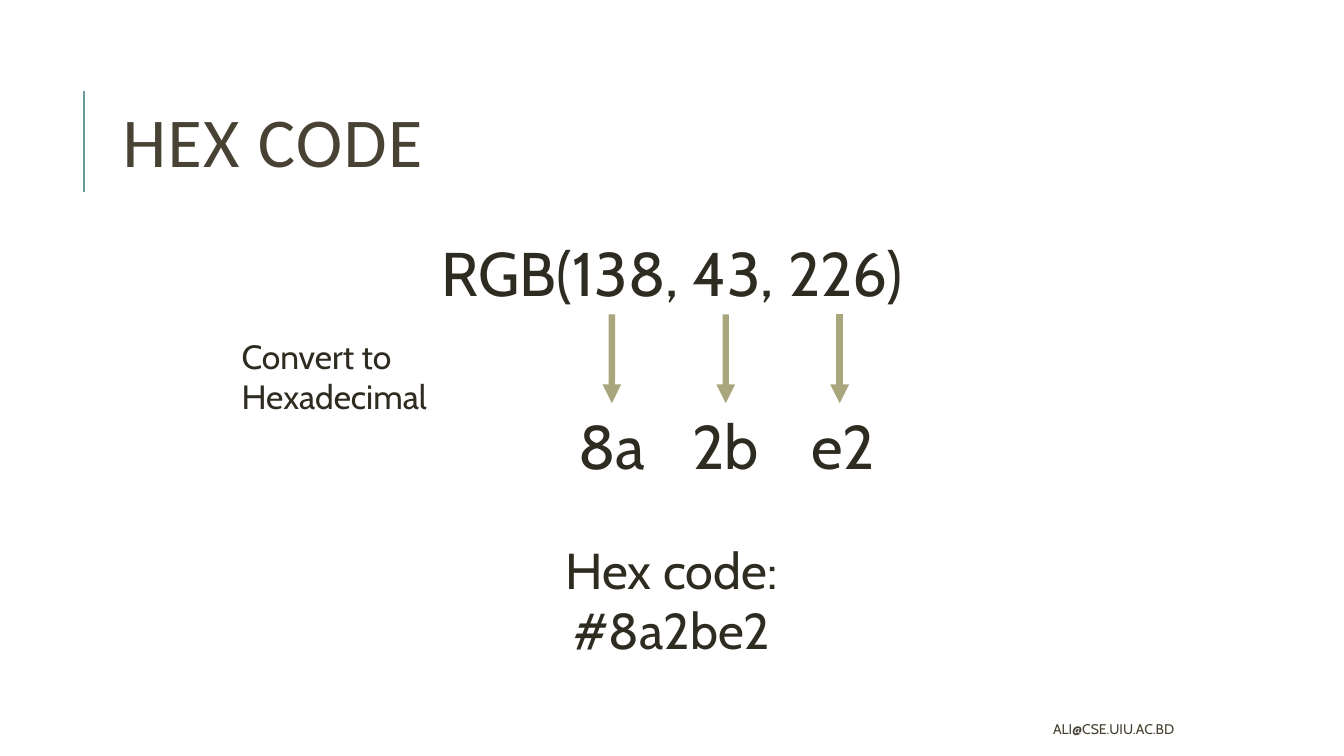
from lxml.etree import SubElement
from pptx import Presentation
from pptx.dml.color import RGBColor
from pptx.enum.shapes import MSO_CONNECTOR as CONN
from pptx.enum.text import MSO_ANCHOR as ANCHOR, MSO_AUTO_SIZE as AUTO, PP_ALIGN as ALIGN
from pptx.oxml.ns import qn
from pptx.util import Cm, Pt

BROWN = RGBColor(0x47, 0x42, 0x33)
DARK = RGBColor(0x2E, 0x2B, 0x21)
KHAKI = RGBColor(0xA9, 0xA5, 0x7C)
TEAL = RGBColor(0x68, 0x9C, 0x9A)

TITLE_FORMAT = {"name": "Calibri", "size": Pt(50)}
FOOTER_FORMAT = {"name": "Cabin", "size": Pt(10)}
VALUE_FORMAT = {"name": "Cabin", "size": Pt(44)}
NOTE_FORMAT = {"name": "Cabin", "size": Pt(24)}
RESULT_FORMAT = {"name": "Cabin", "size": Pt(36)}

TEXTS = [
    (["HEX CODE"], (2.84, 1.63, 27, 4.17), TITLE_FORMAT, BROWN, ALIGN.LEFT, ANCHOR.MIDDLE),
    (["ALI@CSE.UIU.AC.BD"], (13.46, 17.98, 16.38, 0.76), FOOTER_FORMAT, BROWN, ALIGN.RIGHT, ANCHOR.MIDDLE),
    (["RGB(138, 43, 226)"], (10.64, 5.79, 12.6, 2.14), VALUE_FORMAT, DARK, ALIGN.CENTER, ANCHOR.TOP),
    (["Convert to", "Hexadecimal"], (5.84, 8.33, 8.74, 2.29), NOTE_FORMAT, DARK, ALIGN.LEFT, ANCHOR.TOP),
    (["Hex code:", "#8a2be2"], (11.4, 13.46, 11.05, 3.3), RESULT_FORMAT, DARK, ALIGN.CENTER, ANCHOR.TOP),
]
HEX_PAIRS = [("8a", 15.42), ("2b", 18.29), ("e2", 21.25)]
HEX_TOP, HEX_WIDTH, HEX_HEIGHT = 10.16, 2.3, 2.14
ARROW_LEFT, ARROW_PITCH, ARROW_TOP = 15.42, 2.87, 7.92


def add_text(s, lines, box, fmt, color, align, anchor):
    sp = s.shapes.add_textbox(*map(Cm, box))
    tf = sp.text_frame
    tf.word_wrap = True
    tf.auto_size = AUTO.NONE
    tf.vertical_anchor = anchor
    p = tf.paragraphs[0]
    p.alignment = align
    for i, line in enumerate(lines):
        if i:
            p.add_line_break()
        r = p.add_run()
        r.text = line
        for key, value in fmt.items():
            setattr(r.font, key, value)
        r.font.color.rgb = color
    return sp


def add_line(s, start, end, color, width):
    line = s.shapes.add_connector(CONN.STRAIGHT, *map(Cm, start + end))
    line.line.color.rgb = color
    line.line.width = Pt(width)
    SubElement(line._element.spPr, qn("a:effectLst"))
    return line


def main():
    prs = Presentation()
    prs.slide_width, prs.slide_height = Cm(33.87), Cm(19.05)
    s = prs.slides.add_slide(prs.slide_layouts[6])

    add_line(s, (2.12, 4.83), (2.12, 2.29), TEAL, 1.5)
    title, *others = [add_text(s, *text) for text in TEXTS]
    p = title.text_frame.paragraphs[0]
    p.line_spacing = 0.8
    p.runs[0]._r.get_or_add_rPr().set("spc", "100")

    for i, (pair, center) in enumerate(HEX_PAIRS):
        box = (center - HEX_WIDTH / 2, HEX_TOP, HEX_WIDTH, HEX_HEIGHT)
        sp = add_text(s, [pair], box, VALUE_FORMAT, DARK, ALIGN.CENTER, ANCHOR.TOP)
        x = round(ARROW_LEFT + i * ARROW_PITCH, 2)
        arrow = add_line(s, (x, ARROW_TOP), (x, HEX_TOP), KHAKI, 4.5)
        SubElement(arrow.line._get_or_add_ln(), qn("a:tailEnd"), type="triangle")
        if x == center:
            arrow.end_connect(sp, 0)

    prs.save("out.pptx")


if __name__ == "__main__":
    main()
